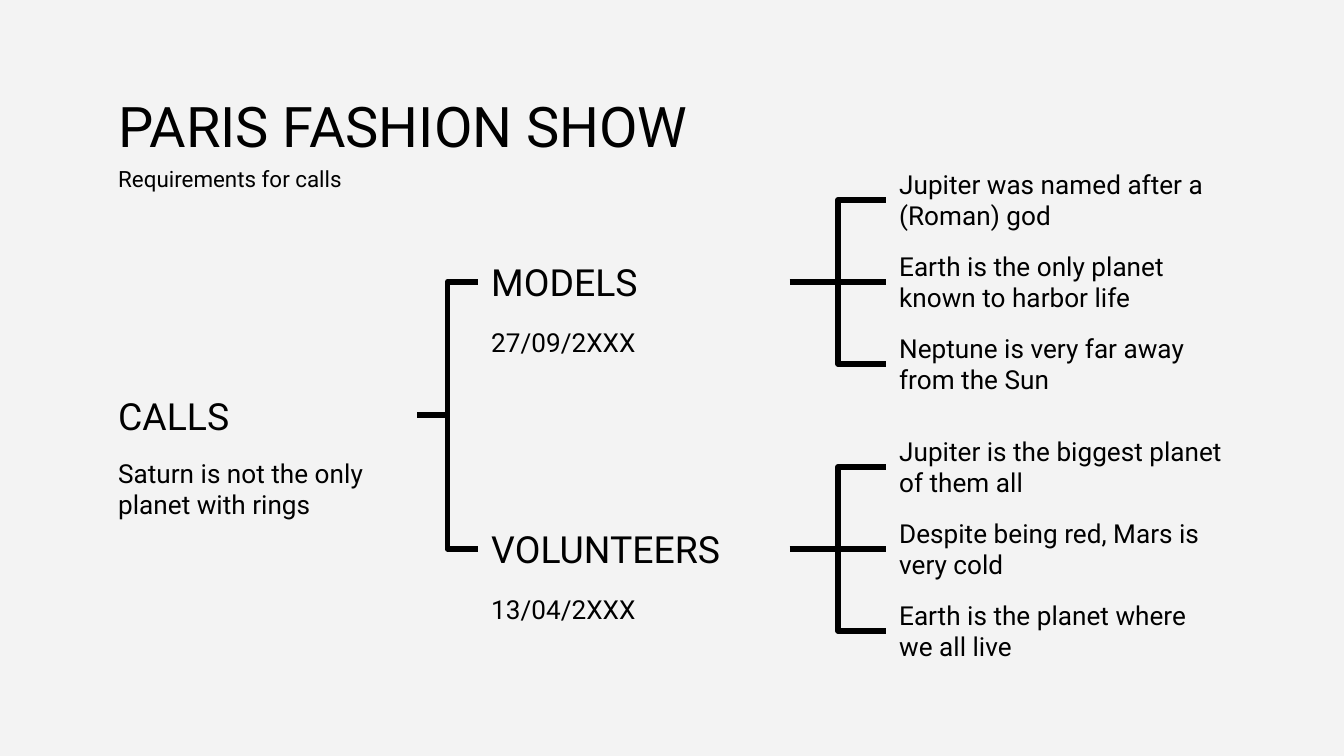
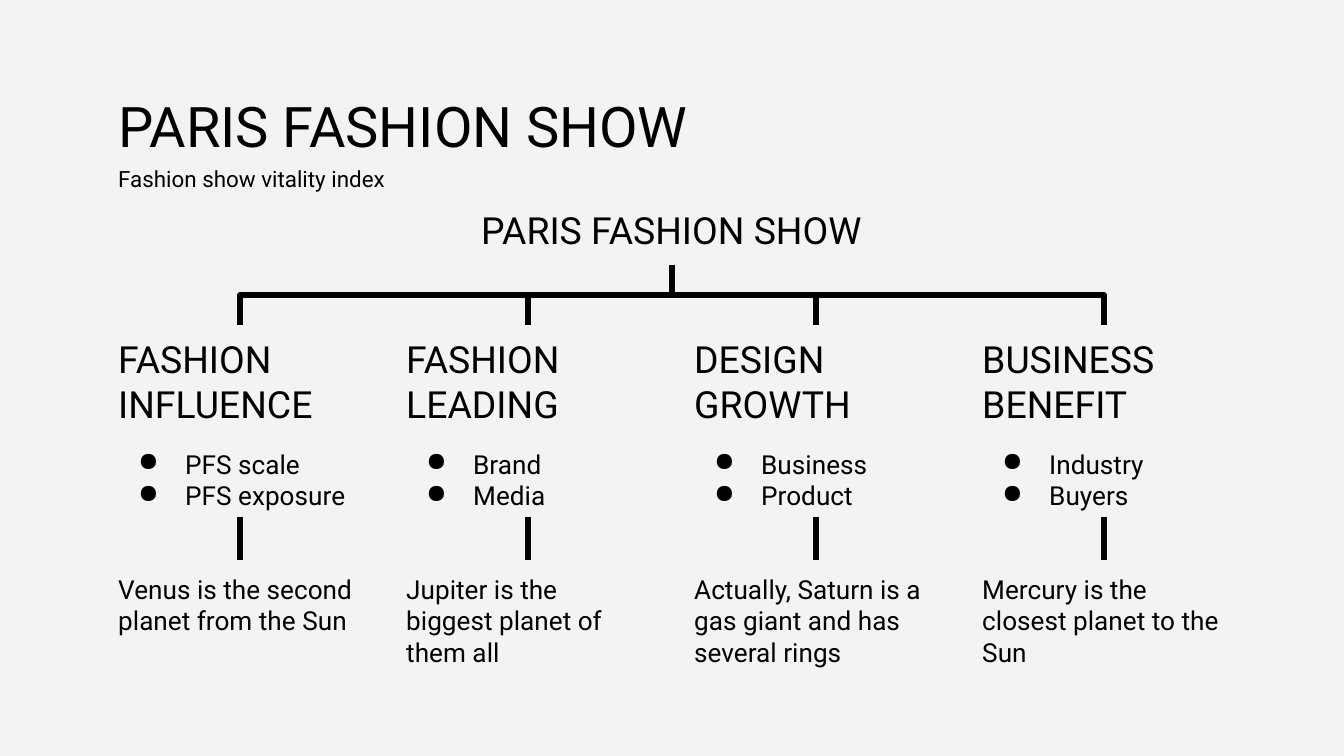
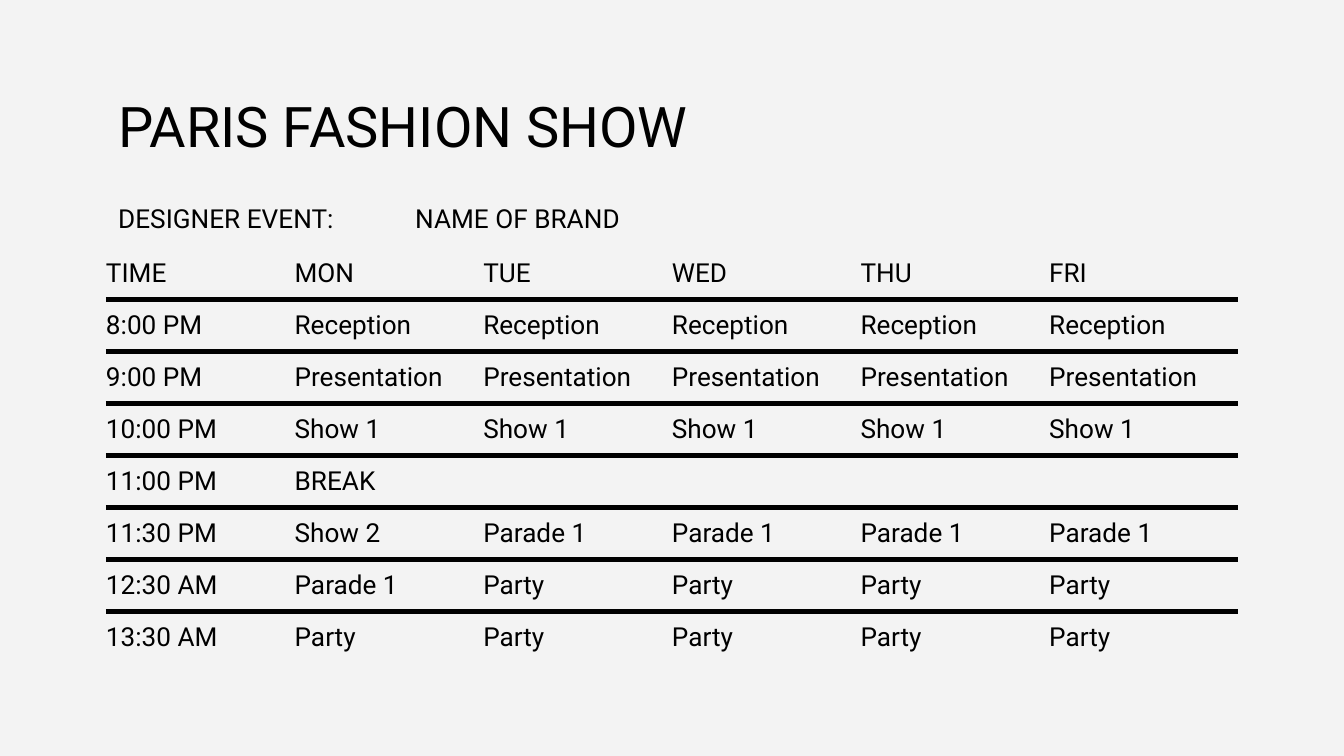
from dataclasses import dataclass

from lxml import etree
from pptx import Presentation
from pptx.dml.color import RGBColor
from pptx.enum.shapes import MSO_CONNECTOR
from pptx.enum.text import MSO_ANCHOR, PP_ALIGN
from pptx.oxml.ns import qn
from pptx.util import Emu, Pt

ELBOW = MSO_CONNECTOR.ELBOW
TOP, MID, LOW = MSO_ANCHOR.TOP, MSO_ANCHOR.MIDDLE, MSO_ANCHOR.BOTTOM
LEFT, CENTER = PP_ALIGN.LEFT, PP_ALIGN.CENTER
PX = 914400 / 134.4
PLAIN_GRID = "{2D5ABB26-0587-4C30-8999-92F81FD0307C}"


@dataclass(frozen=True)
class Theme:
    ink: RGBColor = RGBColor(0, 0, 0)
    paper: RGBColor = RGBColor(0xF3, 0xF3, 0xF3)
    font: str = "Roboto"
    title: Pt = Pt(30)
    head: Pt = Pt(20)
    body: Pt = Pt(14)
    sub: Pt = Pt(12)
    line: Pt = Pt(3)
    inset: Emu = Emu(91440)


theme = Theme()


def put(slide, text, box, size=theme.body, anchor=MID, align=LEFT):
    """Add a text box, one paragraph for each line of text."""
    shape = slide.shapes.add_textbox(*(Emu(round(n * PX)) for n in box))
    frame = shape.text_frame
    frame.word_wrap = True
    frame.vertical_anchor = anchor
    frame.margin_left = frame.margin_right = theme.inset
    frame.margin_top = frame.margin_bottom = theme.inset
    frame.text = text
    for para in frame.paragraphs:
        para.alignment = align
        para.font.name = theme.font
        para.font.size = size
        para.font.color.rgb = theme.ink
    return frame


def link(slide, x1, y1, x2, y2, down=False):
    """Add an elbow that leaves sideways, or downwards by a quarter turn."""
    ends = (x1, y1, x2, y2)
    if down:
        cx, cy = (x1 + x2) / 2, (y1 + y2) / 2
        dx, dy = (x2 - x1) / 2, (y2 - y1) / 2
        ends = (cx - dy, cy + dx, cx + dy, cy - dx)
    line = slide.shapes.add_connector(ELBOW, *(Emu(round(n * PX)) for n in ends))
    line.line.color.rgb = theme.ink
    line.line.width = theme.line
    props = line._element.spPr
    etree.SubElement(props, qn("a:effectLst"))
    if down:
        props.find(qn("a:xfrm")).set("rot", "5400000")


deck = Presentation()
deck.slide_width = Emu(round(1344 * PX))
deck.slide_height = Emu(round(756 * PX))

# Shared background, title and subtitle
slides = []
for sub in ("Requirements for calls", "Fashion show vitality index", ""):
    slide = deck.slides.add_slide(deck.slide_layouts[6])
    slide.background.fill.solid()
    slide.background.fill.fore_color.rgb = theme.paper
    put(slide, "PARIS FASHION SHOW", (105, 78, 1134, 85), theme.title, TOP)
    if sub:
        put(slide, sub, (105, 152, 1134, 43), theme.sub, TOP)
    slides.append(slide)
calls, index, plan = slides

# Slide 1: tree of calls
put(calls, "CALLS", (105, 396, 312, 39), theme.head)
put(calls, "Saturn is not the only planet with rings", (105, 453, 312, 71))
groups = [
    (282, "MODELS", "27/09/2XXX", [
        "Jupiter was named after a (Roman) god",
        "Earth is the only planet known to harbor life",
        "Neptune is very far away from the Sun"]),
    (549, "VOLUNTEERS", "13/04/2XXX", [
        "Jupiter is the biggest planet of them all",
        "Despite being red, Mars is very cold",
        "Earth is the planet where we all live"]),
]
for mid, name, date, notes in groups:
    link(calls, 417, 415, 478, mid)
    put(calls, name, (478, mid - 20, 312, 39), theme.head)
    put(calls, date, (478, mid + 39, 312, 43))
    for step, note in enumerate(notes, -1):
        y = mid + step * 82
        put(calls, note, (886, y - 36, 352, 71))
        link(calls, 790, mid, 886, y)

# Slide 2: four columns under one root
put(index, "PARIS FASHION SHOW", (405, 190, 533, 75), theme.head, LOW, CENTER)
columns = [
    ("FASHION INFLUENCE", "PFS scale\nPFS exposure",
     "Venus is the second planet from the Sun"),
    ("FASHION LEADING", "Brand\nMedia",
     "Jupiter is the biggest planet of them all"),
    ("DESIGN GROWTH", "Business\nProduct",
     "Actually, Saturn is a gas giant and has several rings"),
    ("BUSINESS BENEFIT", "Industry\nBuyers",
     "Mercury is the closest planet to the Sun"),
]
for col, (head, items, note) in enumerate(columns):
    x = 105 + col * 288
    put(index, head, (x, 325, 270, 114), theme.head, LOW)
    for para in put(index, items, (x, 442, 270, 75)).paragraphs:
        props = para._p.get_or_add_pPr()
        props.set("marL", str(round(67 * PX)))
        props.set("indent", str(round(-47 * PX)))
        bullet = etree.Element(qn("a:buChar"), char="●")
        props.insert(0, bullet)
    put(index, note, (x, 560, 270, 114), anchor=TOP)
    link(index, 672, 265, x + 135, 325, down=True)
    link(index, x + 135, 517, x + 135, 560, down=True)

# Slide 3: timetable
put(plan, "DESIGNER EVENT:", (105, 187, 297, 62))
put(plan, "NAME OF BRAND", (402, 187, 552, 62))
rows = [
    ["TIME", "MON", "TUE", "WED", "THU", "FRI"],
    ["8:00 PM"] + ["Reception"] * 5,
    ["9:00 PM"] + ["Presentation"] * 5,
    ["10:00 PM"] + ["Show 1"] * 5,
    ["11:00 PM", "BREAK"] + [""] * 4,
    ["11:30 PM", "Show 2"] + ["Parade 1"] * 4,
    ["12:30 AM", "Parade 1"] + ["Party"] * 4,
    ["13:30 AM"] + ["Party"] * 5,
]
last = len(rows) - 1
area = (Emu(round(n * PX)) for n in (106, 247, 1132, 417))
table = plan.shapes.add_table(len(rows), len(rows[0]), *area).table
table.first_row = table.horz_banding = False
table._tbl.tblPr.find(qn("a:tableStyleId")).text = PLAIN_GRID
for r, row in enumerate(rows):
    for c, text in enumerate(row):
        cell = table.cell(r, c)
        cell.text = text
        cell.vertical_anchor = MID
        cell.margin_left = cell.margin_right = 0
        cell.margin_top = cell.margin_bottom = 0
        cell.fill.background()
        font = cell.text_frame.paragraphs[0].font
        font.name = theme.font
        font.size = theme.body
        font.color.rgb = theme.ink
        # Rules run between rows only
        sides = [("a:lnT", r > 0), ("a:lnB", r < last)]
        props = cell._tc.get_or_add_tcPr()
        for spot, side in enumerate(tag for tag, shown in sides if shown):
            rule = etree.Element(qn(side), w=str(theme.line))
            fill = etree.SubElement(rule, qn("a:solidFill"))
            etree.SubElement(fill, qn("a:srgbClr"), val=str(theme.ink))
            props.insert(spot, rule)
table.cell(4, 1).merge(table.cell(4, 5))

deck.save("out.pptx")
